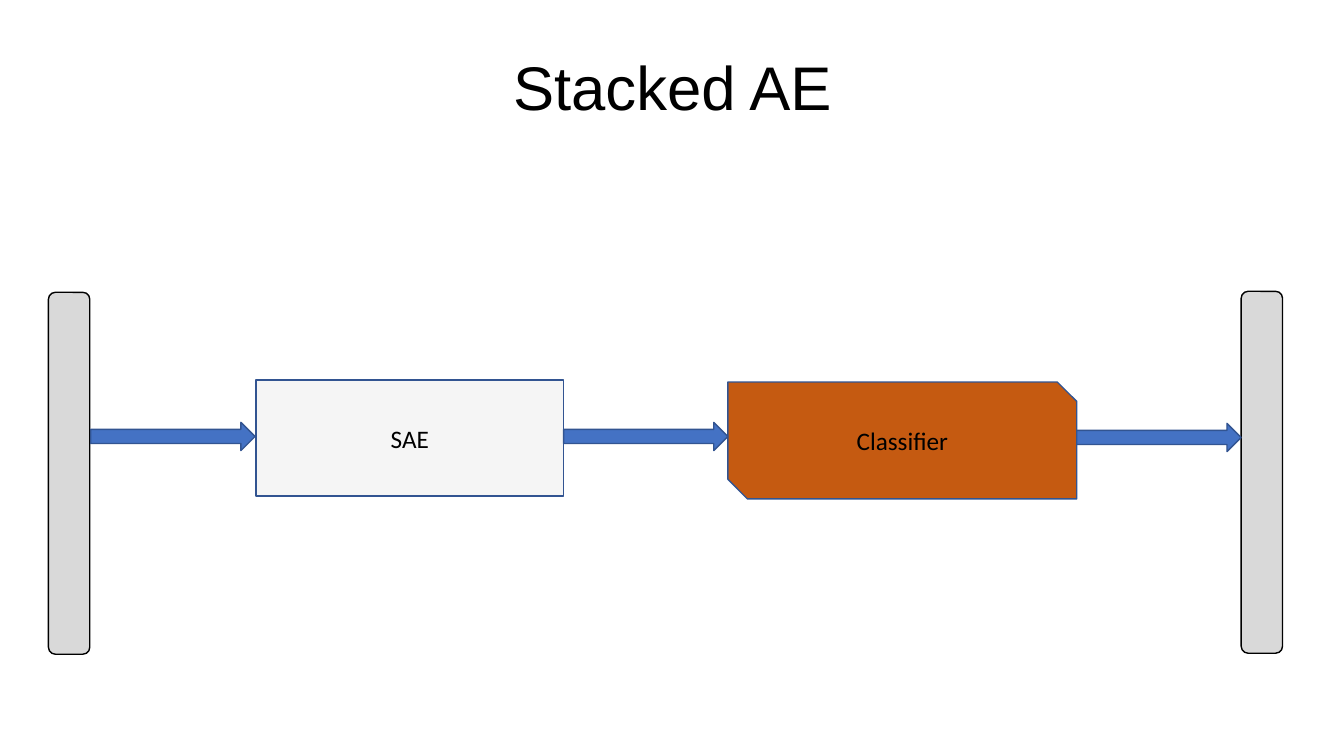
from dataclasses import dataclass

from pptx import Presentation
from pptx import util as u
from pptx.dml.color import RGBColor
from pptx.enum import shapes, text

KIND = shapes.MSO_SHAPE


@dataclass(frozen=True)
class Theme:
    ink: str = "000000"
    edge: str = "325491"
    arrow: str = "4472C4"
    bar: str = "D9D9D9"
    coder: str = "F5F5F5"
    sorter: str = "C55A11"
    head: str = "Arial"
    body: str = "Calibri"
    big: int = 44
    small: int = 18


def write(frame, words, font, size, color, space=None):
    frame.word_wrap = True
    frame.vertical_anchor = text.MSO_ANCHOR.MIDDLE
    para = frame.paragraphs[0]
    para.alignment = text.PP_ALIGN.CENTER
    para.line_spacing = space
    run = para.add_run()
    run.text = words
    run.font.name = font
    run.font.size = u.Pt(size)
    run.font.color.rgb = RGBColor.from_string(color)


class Board:
    def __init__(self, deck, theme):
        self.theme = theme
        self.slide = deck.slides.add_slide(deck.slide_layouts[5])

    def title(self, words, left, top, width, height):
        box = self.slide.shapes.title
        box.left, box.top = u.Inches(left), u.Inches(top)
        box.width, box.height = u.Inches(width), u.Inches(height)
        write(box.text_frame, words, font=self.theme.head,
              size=self.theme.big, color=self.theme.ink, space=0.9)
        box.text_frame.auto_size = text.MSO_AUTO_SIZE.NONE

    def shape(self, kind, left, top, width, height, fill, line):
        item = self.slide.shapes.add_shape(
            kind, *map(u.Inches, (left, top, width, height)))
        item.shadow.inherit = False
        item.fill.solid()
        item.fill.fore_color.rgb = RGBColor.from_string(fill)
        item.line.color.rgb = RGBColor.from_string(line)
        item.line.width = u.Pt(1)
        return item

    def bar(self, left, top):
        item = self.shape(KIND.ROUNDED_RECTANGLE, left, top, 3.59, 0.41,
                          self.theme.bar, self.theme.ink)
        item.rotation = 90

    def arrow(self, left, top):
        self.shape(KIND.RIGHT_ARROW, left, top, 1.63, 0.28,
                   self.theme.arrow, self.theme.edge)

    def block(self, words, kind, left, top, width, height, fill):
        item = self.shape(kind, left, top, width, height, fill, self.theme.edge)
        write(item.text_frame, words, font=self.theme.body,
              size=self.theme.small, color=self.theme.ink)


def main():
    deck = Presentation()
    deck.slide_width, deck.slide_height = u.Inches(13.33), u.Inches(7.5)
    theme = Theme()
    board = Board(deck, theme)
    board.title("Stacked AE", 0.92, 0.4, 11.5, 0.99)
    for left, top in ((-1.11, 4.49), (10.72, 4.48)):
        board.bar(left, top)
    board.block("SAE", KIND.RECTANGLE, 2.54, 3.77, 3.05, 1.15, theme.coder)
    board.block("Classifier", KIND.SNIP_2_DIAG_RECTANGLE,
                7.22, 3.79, 3.46, 1.16, theme.sorter)
    for left, top in ((0.9, 4.19), (5.59, 4.19), (10.68, 4.2)):
        board.arrow(left, top)
    deck.save("out.pptx")


if __name__ == "__main__":
    main()
